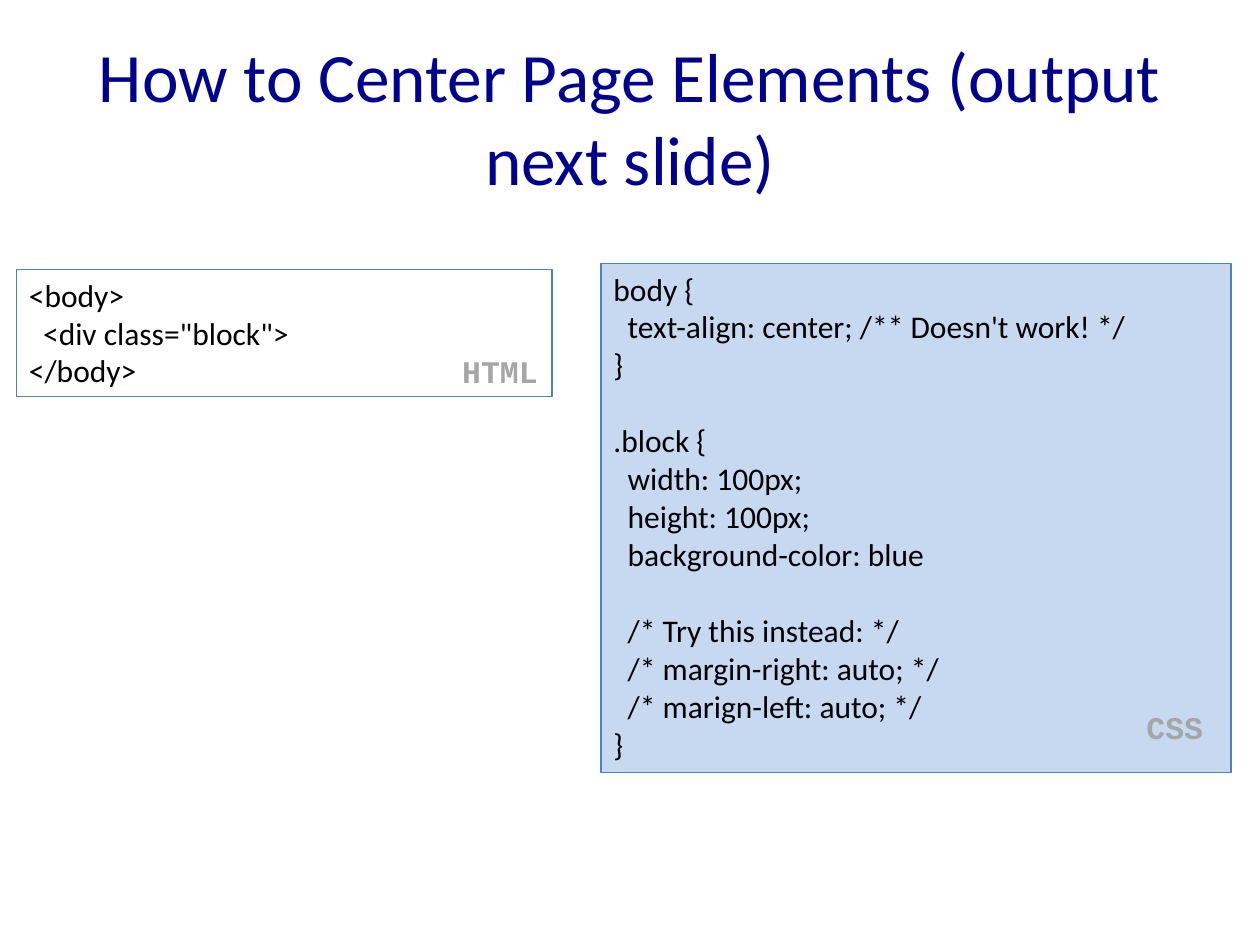
from dataclasses import dataclass

from pptx import Presentation
from pptx.dml.color import RGBColor
from pptx.enum import shapes, text
from pptx.util import Pt


@dataclass(frozen=True)
class Theme:
    """Colours, fonts and type sizes of the slide."""
    title: RGBColor = RGBColor.from_string("000090")
    ink: RGBColor = RGBColor.from_string("000000")
    label: RGBColor = RGBColor.from_string("A6A6A6")
    border: RGBColor = RGBColor.from_string("4F81BD")
    panel: RGBColor = RGBColor.from_string("C6D9F1")
    body_font: str = "Calibri"
    label_font: str = "Courier New"
    title_size: float = 39.6
    code_size: float = 18
    code_line: float = 22


THEME = Theme()

HTML = """<body>
  <div class="block">
</body>"""

CSS = """body {
  text-align: center; /** Doesn't work! */
}

.block {
  width: 100px;
  height: 100px;
  background-color: blue

  /* Try this instead: */
  /* margin-right: auto; */
  /* marign-left: auto; */
}"""


def set_all(obj, **values):
    """Set each named attribute of an object."""
    for name, value in values.items():
        setattr(obj, name, value)


def write(p, content, size, color, font=THEME.body_font, bold=False):
    """Add one formatted run to a paragraph."""
    r = p.add_run()
    r.text = content
    set_all(r.font, size=Pt(size), name=font, bold=bold)
    r.font.color.rgb = color


def add_title(s, content, box):
    """Place and format the title placeholder."""
    sp = s.shapes.title
    set_all(sp, **dict(zip(("left", "top", "width", "height"), map(Pt, box))))
    tf = sp.text_frame
    set_all(tf, word_wrap=True, vertical_anchor=text.MSO_ANCHOR.MIDDLE,
            auto_size=text.MSO_AUTO_SIZE.NONE)
    p = tf.paragraphs[0]
    p.alignment = text.PP_ALIGN.CENTER
    write(p, content, THEME.title_size, THEME.title)


def add_code(s, code, box, fill=None):
    """Add a bordered code panel, spacing out the blocks of the code."""
    sp = s.shapes.add_shape(shapes.MSO_SHAPE.RECTANGLE, *map(Pt, box))
    sp.shadow.inherit = False
    if fill is None:
        sp.fill.background()
    else:
        sp.fill.solid()
        sp.fill.fore_color.rgb = fill
    sp.line.color.rgb = THEME.border
    sp.line.width = Pt(0.75)
    tf = sp.text_frame
    set_all(tf, word_wrap=True, vertical_anchor=text.MSO_ANCHOR.TOP,
            auto_size=text.MSO_AUTO_SIZE.SHAPE_TO_FIT_TEXT)
    p = None
    for block in code.split("\n\n"):
        for i, line in enumerate(block.split("\n")):
            gap = THEME.code_line if p is not None and i == 0 else 0
            p = tf.paragraphs[0] if p is None else tf.add_paragraph()
            set_all(p, alignment=text.PP_ALIGN.LEFT, space_before=Pt(gap))
            write(p, line, THEME.code_size, THEME.ink)


def add_label(s, content, box):
    """Add the language label of a code panel."""
    tf = s.shapes.add_textbox(*map(Pt, box)).text_frame
    set_all(tf, word_wrap=False,
            auto_size=text.MSO_AUTO_SIZE.SHAPE_TO_FIT_TEXT)
    write(tf.paragraphs[0], content, THEME.code_size, THEME.label,
          THEME.label_font, True)


def main():
    """Build the slide and save it."""
    prs = Presentation()
    set_all(prs, slide_width=Pt(720), slide_height=Pt(540))
    s = prs.slides.add_slide(prs.slide_layouts[5])
    add_title(s, "How to Center Page Elements (output next slide)",
              (36, 21.6, 648, 90))
    add_code(s, CSS, (343.5, 150.5, 360, 291), THEME.panel)
    add_code(s, HTML, (9.4, 154, 306, 72.7))
    add_label(s, "CSS", (648, 401, 47.5, 29))
    add_label(s, "HTML", (257, 197.5, 58.3, 29))
    prs.save("out.pptx")


if __name__ == "__main__":
    main()
